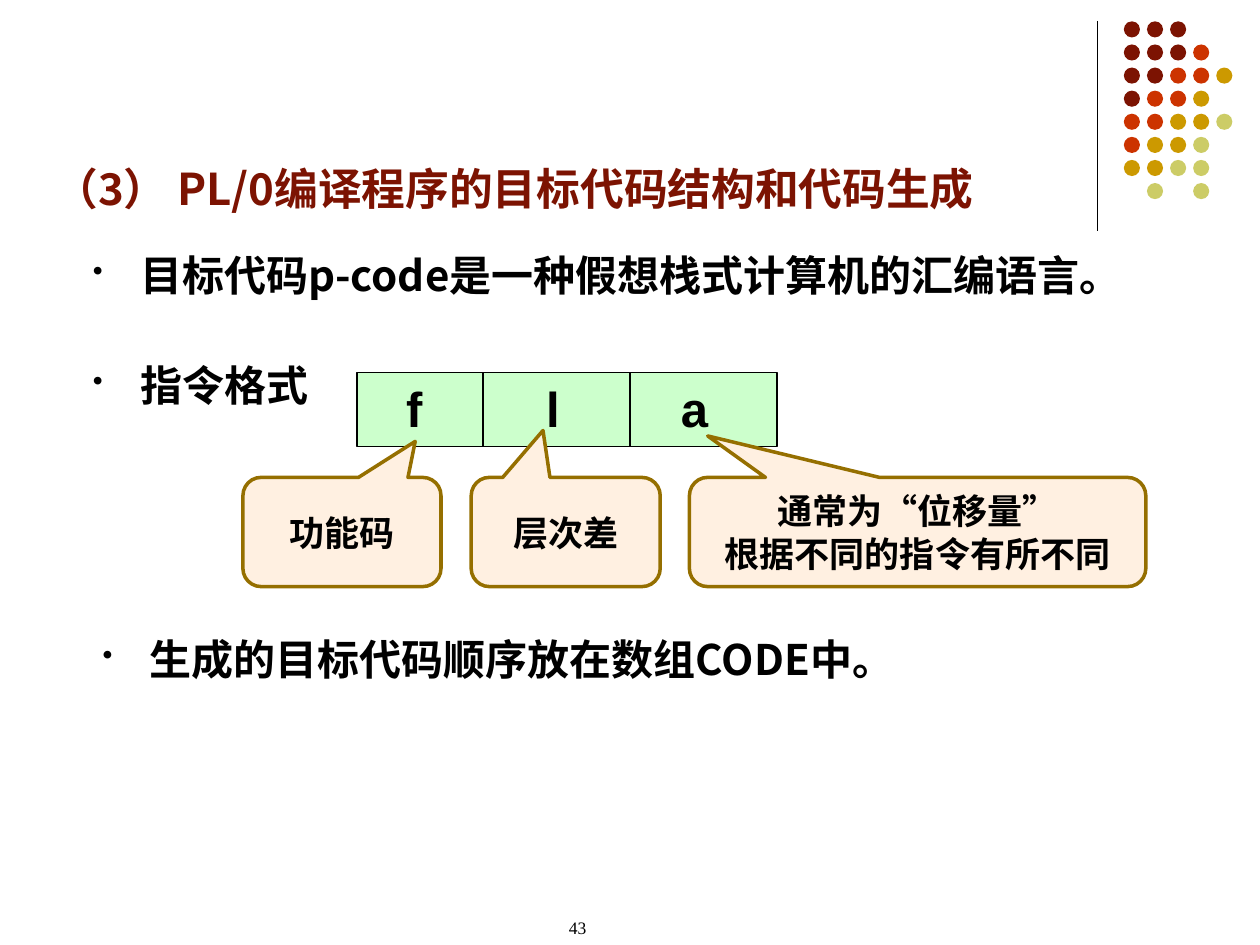
from lxml import etree
from pptx import Presentation
from pptx.dml.color import RGBColor
from pptx.enum.shapes import MSO_CONNECTOR, MSO_SHAPE
from pptx.enum.text import MSO_ANCHOR, PP_ALIGN
from pptx.oxml.ns import qn
from pptx.util import Pt

LINE = MSO_CONNECTOR.STRAIGHT
OVAL = MSO_SHAPE.OVAL
RECT = MSO_SHAPE.RECTANGLE
CALL = MSO_SHAPE.ROUNDED_RECTANGULAR_CALLOUT
TOP, MIDDLE, BOTTOM = MSO_ANCHOR.TOP, MSO_ANCHOR.MIDDLE, MSO_ANCHOR.BOTTOM
LEFT, CENTER = PP_ALIGN.LEFT, PP_ALIGN.CENTER

SANS, ARIAL, TIMES = "Noto Sans CJK SC", "Arial", "Times New Roman"
BLACK, MAROON, GREEN = "000000", "7C1302", "CCFFCC"
CREAM, BROWN = "FFF0E1", "956F00"
TINTS = {"m": MAROON, "r": "CC3300", "g": "CC9900", "y": "CCCC66"}
DOTS = ["mmm", "mmmr", "mmrrg", "mrrg", "rrggy", "rggy", "ggyy", " y y"]


def color(code):
    """Turn a hex string into a colour."""
    return RGBColor.from_string(code)


def add_run(para, text, font, size, code=BLACK, bold=True):
    """Add one run, with its font set for Latin and Chinese text."""
    run = para.add_run()
    run.text = text
    run.font.name = font
    run.font.size = Pt(size)
    run.font.bold = bold
    run.font.color.rgb = color(code)
    east = etree.SubElement(run.font._element, qn("a:ea"))
    east.set("typeface", font)


def set_frame(shape, anchor):
    """Set wrapping, anchor and insets, and return the text frame."""
    frame = shape.text_frame
    frame.word_wrap = True
    frame.vertical_anchor = anchor
    frame.margin_left = frame.margin_right = Pt(7.2)
    frame.margin_top = frame.margin_bottom = Pt(3.6)
    return frame


def add_text(slide, box, anchor=TOP):
    """Add a text box and return its frame."""
    return set_frame(slide.shapes.add_textbox(*map(Pt, box)), anchor)


def add_bullet(para, text, gap):
    """Fill a paragraph as a bullet with a hanging indent."""
    para.space_before = Pt(gap)
    props = para._p.get_or_add_pPr()
    props.set("marL", str(Pt(27)))
    props.set("indent", str(-Pt(27)))
    tint = etree.SubElement(props, qn("a:buClr"))
    etree.SubElement(tint, qn("a:srgbClr")).set("val", BLACK)
    etree.SubElement(props, qn("a:buSzPct")).set("val", "70000")
    etree.SubElement(props, qn("a:buChar")).set("char", "•")
    add_run(para, text, SANS, 24)


def add_shape(slide, kind, box, fill, edge=None, width=0.75):
    """Add a filled preset shape, with an outline if edge is given."""
    shape = slide.shapes.add_shape(kind, *map(Pt, box))
    shape.shadow.inherit = False
    shape.fill.solid()
    shape.fill.fore_color.rgb = color(fill)
    if edge:
        shape.line.color.rgb = color(edge)
        shape.line.width = Pt(width)
    else:
        shape.line.fill.background()
    return shape


def add_rule(slide, x, top, end):
    """Draw a thin upright line."""
    rule = slide.shapes.add_connector(LINE, Pt(x), Pt(top), Pt(x), Pt(end))
    rule.line.color.rgb = color(BLACK)
    rule.line.width = Pt(0.75)
    etree.SubElement(rule._element.spPr, qn("a:effectLst"))


def add_dots(slide):
    """Draw the corner dots from the rows of tint letters."""
    for row, tints in enumerate(DOTS):
        for col, tint in enumerate(tints):
            if tint in TINTS:
                box = (642.2 + 13.2 * col, 12.2 + 13.2 * row, 9.2, 9.2)
                add_shape(slide, OVAL, box, TINTS[tint])


def add_format(slide):
    """Draw the three-field instruction word."""
    left, top, wide, high = 204, 213, 240, 42
    word = add_shape(slide, RECT, (left, top, wide, high), GREEN, BLACK)
    frame = set_frame(word, TOP)
    frame.margin_left = Pt(28)
    para = frame.paragraphs[0]
    para.alignment = LEFT
    tabs = etree.SubElement(para._p.get_or_add_pPr(), qn("a:tabLst"))
    for stop in (80, 157):
        tab = etree.SubElement(tabs, qn("a:tab"))
        tab.set("pos", str(Pt(stop)))
        tab.set("algn", "l")
    add_run(para, "f\tl\ta", ARIAL, 28)
    for x in (276, 360):
        add_rule(slide, x, top, top + high)


def add_call(slide, left, wide, tip, lines):
    """Add a callout whose tip is given relative to its centre."""
    box = (left, 272.8, wide, 62.4)
    call = add_shape(slide, CALL, box, CREAM, BROWN, 2)
    call.adjustments[0], call.adjustments[1] = tip
    frame = set_frame(call, MIDDLE)
    for i, text in enumerate(lines):
        para = frame.add_paragraph() if i else frame.paragraphs[0]
        para.alignment = CENTER
        add_run(para, text, SANS, 20)


def main():
    """Build the slide and save it."""
    deck = Presentation()
    deck.slide_width, deck.slide_height = Pt(720), Pt(540)
    slide = deck.slides.add_slide(deck.slide_layouts[6])

    add_rule(slide, 627, 12, 132)
    add_dots(slide)

    page = add_text(slide, (318, 520.5, 60, 19.5)).paragraphs[0]
    page.space_before = Pt(6.2)
    add_run(page, "43", TIMES, 10, bold=False)

    title = add_text(slide, (24, 36, 666, 90), BOTTOM).paragraphs[0]
    add_run(title, "（3） PL/0编译程序的目标代码结构和代码生成", SANS, 25, MAROON)

    body = add_text(slide, (46, 139, 644, 114))
    add_bullet(body.paragraphs[0], "目标代码p-code是一种假想栈式计算机的汇编语言。", 6)
    add_bullet(body.add_paragraph(), "指令格式", 34)

    add_format(slide)
    calls = [
        (138.8, 113.2, (0.37, -0.83), ["功能码"]),
        (269.3, 108, (-0.12, -0.93), ["层次差"]),
        (394, 260.8, (-0.46, -0.88), ["通常为“位移量”", "根据不同的指令有所不同"]),
    ]
    for call in calls:
        add_call(slide, *call)

    last = add_text(slide, (51.6, 358.5, 614, 36))
    add_bullet(last.paragraphs[0], "生成的目标代码顺序放在数组CODE中。", 6)

    deck.save("out.pptx")


main()
